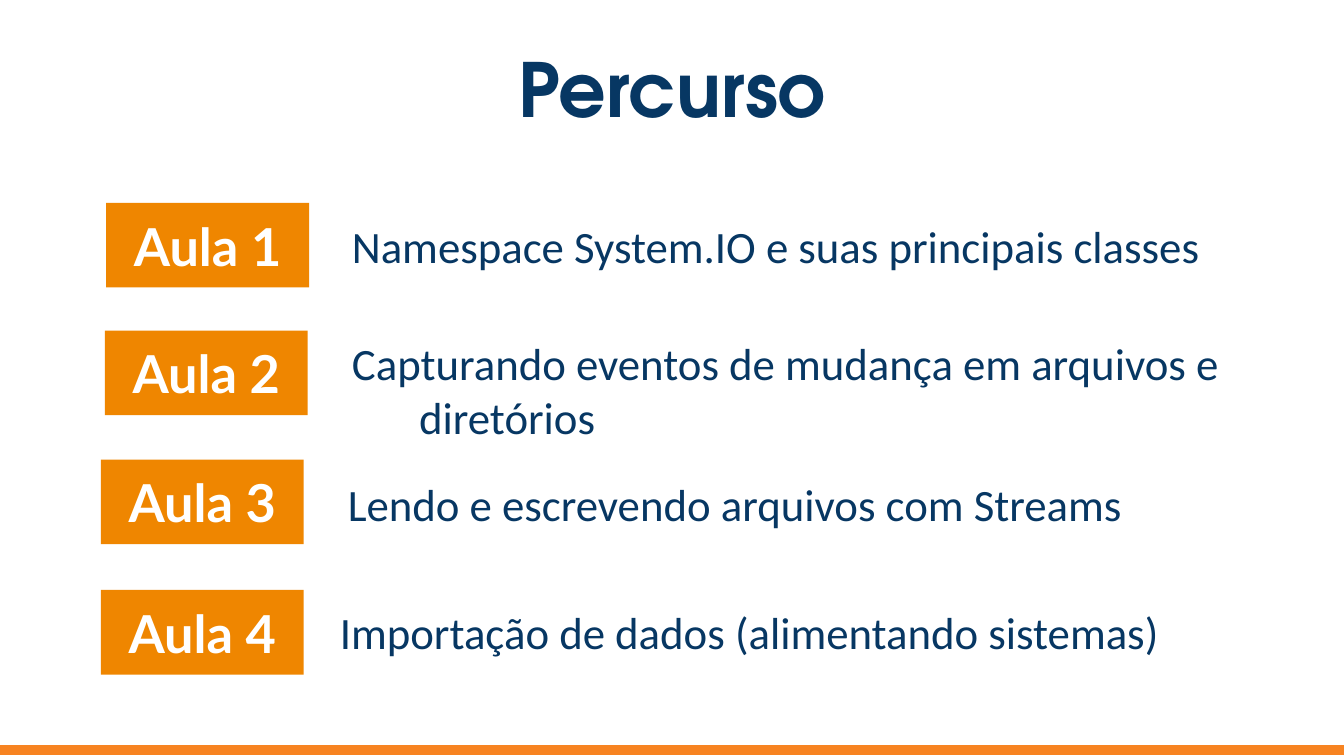
from pptx import Presentation
from pptx.dml.color import RGBColor
from pptx.enum.shapes import MSO_SHAPE
from pptx.enum.text import MSO_ANCHOR, MSO_AUTO_SIZE, PP_ALIGN
from pptx.util import Inches, Pt

WIDTH = 10
HEIGHT = WIDTH * 9 / 16
NAVY, ORANGE, FOOTER_ORANGE, WHITE = "073763", "EF8600", "F78321", "FFFFFF"
BADGE_WIDTH, BADGE_HEIGHT = 1.51, 0.63
TOPIC_HEIGHT, HANGING = 0.5, 0.5

TITLE_STYLE = {"name": "TeX Gyre Adventor", "size": Pt(40), "bold": True}
BADGE_STYLE = {"name": "Lato", "size": Pt(28), "bold": True}
TOPIC_STYLE = {"name": "Calibri", "size": Pt(24), "bold": False}

LESSONS = [
    ("Aula 1", (0.79, 1.51), "Namespace System.IO e suas principais classes",
     (2.52, 1.58, 6.9), 0),
    ("Aula 2", (0.78, 2.46), "Capturando eventos de mudança em arquivos e diretórios",
     (2.52, 2.45, 6.71), HANGING),
    ("Aula 3", (0.75, 3.42), "Lendo e escrevendo arquivos com Streams",
     (2.49, 3.5, 6.76), HANGING),
    ("Aula 4", (0.75, 4.39), "Importação de dados (alimentando sistemas)",
     (2.43, 4.45, 6.71), HANGING),
]


def color(value):
    return RGBColor.from_string(value)


def set_format(target, values):
    for name, value in values.items():
        setattr(target, name, value)


def place(shape, box):
    names = ("left", "top", "width", "height")
    set_format(shape, {name: Inches(value) for name, value in zip(names, box)})


def write(shape, text, style, ink, align, anchor, inset):
    frame = shape.text_frame
    set_format(frame, {
        "auto_size": MSO_AUTO_SIZE.NONE, "word_wrap": True, "vertical_anchor": anchor,
        "margin_left": Inches(0.1), "margin_right": Inches(0.1),
        "margin_top": Inches(inset), "margin_bottom": Inches(inset),
    })
    para = frame.paragraphs[0]
    para.alignment = align
    span = para.add_run()
    span.text = text
    set_format(span.font, style)
    span.font.color.rgb = color(ink)
    return para


def add_block(page, box, fill):
    block = page.shapes.add_shape(MSO_SHAPE.RECTANGLE, *map(Inches, box))
    block.shadow.inherit = False
    block.fill.solid()
    block.fill.fore_color.rgb = color(fill)
    block.line.fill.background()
    return block


def add_title(page, box):
    title = page.shapes.title
    place(title, box)
    write(title, "Percurso", TITLE_STYLE, NAVY, PP_ALIGN.CENTER, MSO_ANCHOR.MIDDLE, 0.1)


def add_badge(page, box, label):
    badge = add_block(page, box, ORANGE)
    write(badge, label, BADGE_STYLE, WHITE, PP_ALIGN.CENTER, MSO_ANCHOR.MIDDLE, 0.1)


def add_topic(page, box, text, hanging):
    topic = page.shapes.add_textbox(*map(Inches, box))
    para = write(topic, text, TOPIC_STYLE, NAVY, PP_ALIGN.LEFT, MSO_ANCHOR.TOP, 0.05)
    if hanging:
        properties = para._p.get_or_add_pPr()
        properties.set("marL", str(Inches(hanging)))
        properties.set("indent", str(-Inches(hanging)))


def add_lessons(page):
    for label, badge_corner, text, topic_place, hanging in LESSONS:
        add_badge(page, (*badge_corner, BADGE_WIDTH, BADGE_HEIGHT), label)
        add_topic(page, (*topic_place, TOPIC_HEIGHT), text, hanging)


def add_footer(page, box):
    bar = add_block(page, box, FOOTER_ORANGE)
    bar.line.color.rgb = color(FOOTER_ORANGE)
    bar.line.width = Pt(0.75)


def main():
    deck = Presentation()
    set_format(deck, {"slide_width": Inches(WIDTH), "slide_height": Inches(HEIGHT)})
    page = deck.slides.add_slide(deck.slide_layouts.get_by_name("Title Only"))
    page.background.fill.solid()
    page.background.fill.fore_color.rgb = color(WHITE)
    add_title(page, (0.34, 0.33, WIDTH - 2 * 0.34, 0.65))
    add_footer(page, (0, 5.55, WIDTH, 0.06))
    add_lessons(page)
    deck.save("out.pptx")


if __name__ == "__main__":
    main()
